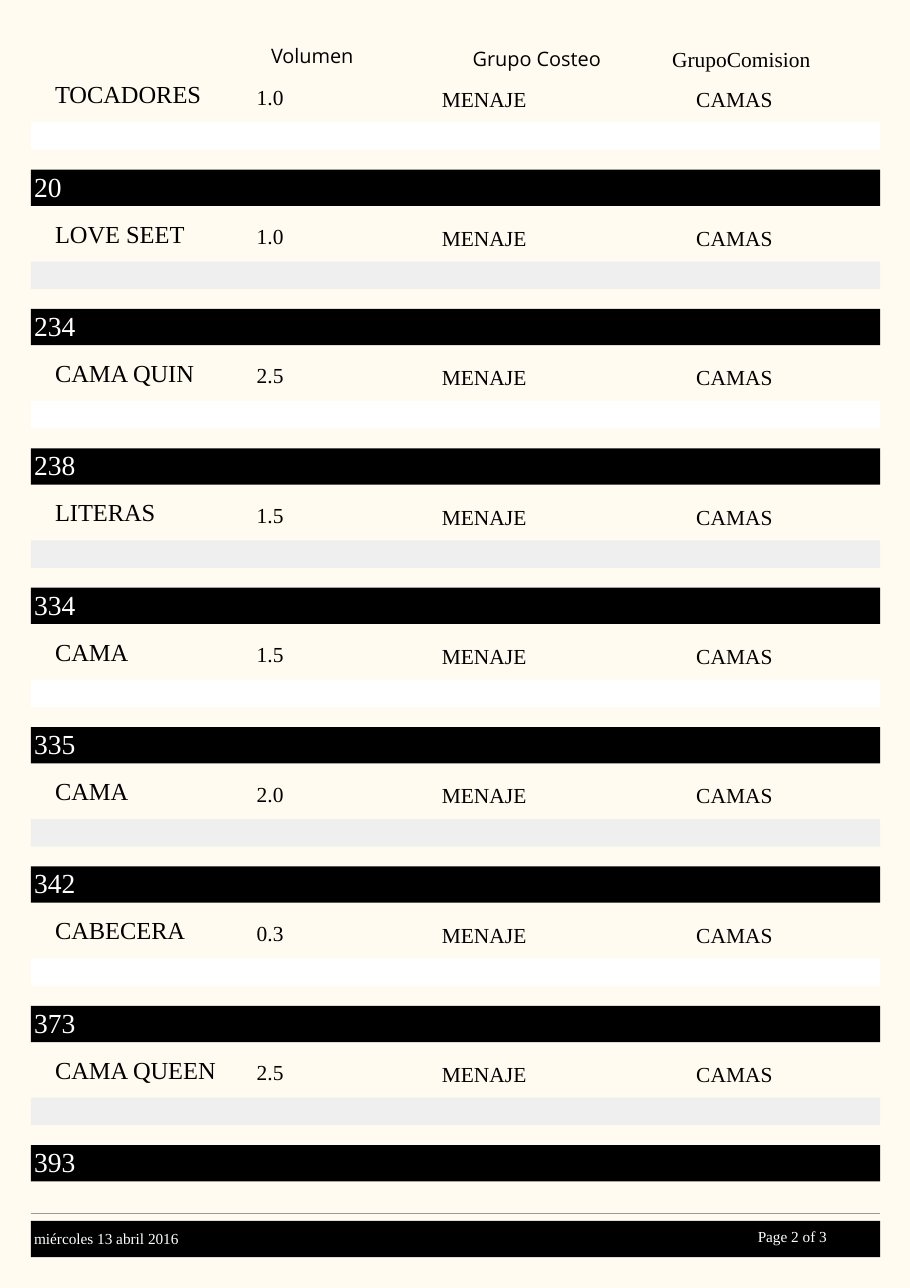
"""Build page 2 of a furniture stock report grouped by product code."""
from lxml import etree
from pptx import Presentation
from pptx.dml.color import RGBColor
from pptx.enum.shapes import MSO_CONNECTOR, MSO_SHAPE
from pptx.enum.text import MSO_ANCHOR, PP_ALIGN
from pptx.oxml.ns import qn
from pptx.util import Inches, Pt

RECTANGLE = MSO_SHAPE.RECTANGLE
STRAIGHT = MSO_CONNECTOR.STRAIGHT
TOP, MIDDLE = MSO_ANCHOR.TOP, MSO_ANCHOR.MIDDLE
LEFT, RIGHT = PP_ALIGN.LEFT, PP_ALIGN.RIGHT

PAGE_WIDTH, PAGE_HEIGHT = Inches(8.26), Inches(11.69)
BLACK, WHITE, GREY, CREAM, RULE = "000000", "FFFFFF", "F0EFEF", "FFFBF0", "999999"
SERIF, SANS = "Times New Roman", "Open Sans"


def color(value):
    return RGBColor.from_string(value)


def apply(target, settings):
    for attribute, value in settings.items():
        setattr(target, attribute, value)


class ReportPage:
    """Draws on one slide, with lengths in percent of its width and height."""

    frame_style = {"margin_left": 0, "margin_top": 0, "margin_right": 0,
                   "margin_bottom": 0, "word_wrap": True}

    def __init__(self, slide):
        self.slide = slide
        background = slide.background.fill
        background.solid()
        background.fore_color.rgb = color(CREAM)

    def place(self, left, top, width, height):
        return (round(PAGE_WIDTH * left / 100), round(PAGE_HEIGHT * top / 100),
                round(PAGE_WIDTH * width / 100), round(PAGE_HEIGHT * height / 100))

    def text(self, words, left, top, width, height, size,
             ink=BLACK, font=SERIF, anchor=TOP, align=LEFT):
        box = self.slide.shapes.add_textbox(*self.place(left, top, width, height))
        apply(box.text_frame, {**self.frame_style, "vertical_anchor": anchor})
        paragraph = box.text_frame.paragraphs[0]
        paragraph.alignment = align
        run = paragraph.add_run()
        run.text = words
        apply(run.font, {"name": font, "size": Pt(size)})
        run.font.color.rgb = color(ink)

    def band(self, top, height, fill):
        bar = self.slide.shapes.add_shape(
            RECTANGLE, *self.place(MARGIN, top, BAND_WIDTH, height))
        bar.shadow.inherit = False
        bar.fill.solid()
        bar.fill.fore_color.rgb = color(fill)
        bar.line.fill.background()

    def rule(self, top):
        left, y, width, _ = self.place(MARGIN, top, BAND_WIDTH, 0)
        line = self.slide.shapes.add_connector(STRAIGHT, left, y, left + width, y)
        line.line.color.rgb = color(RULE)
        line.line.width = Pt(0.5)
        etree.SubElement(line._element.spPr, qn("a:effectLst"))


MARGIN, BAND_WIDTH, BAND_HEIGHT = 3.39, 93.34, 2.82
BAND_TEXT_LEFT = 3.75
FIRST_GROUP, GROUP_PITCH = 2.35, 10.82
STRIPE_OFFSET, STRIPE_HEIGHT = 7.14, 2.14
FIELD_WIDTH = 18.64
FOOTER_TOP, FOOTER_TEXT_HEIGHT = 94.78, 2.4

HEADINGS = [
    ("GrupoComision", 73.85, 3.59, FIELD_WIDTH, 2.14, 14, BLACK, SERIF),
    ("Grupo Costeo", 51.94, 3.59, 16.83, 2.4, 13, BLACK, SANS),
    ("Volumen", 29.78, 3.42, 16.83, 2.4, 13, BLACK, SANS),
]
FIELDS = [(6.05, 3.8, 3.08, 16), (28.21, 4.16, 2.14, 14),
          (48.55, 4.3, 2.14, 14), (76.51, 4.3, 2.14, 14)]
GROUPS = [
    (None, "TOCADORES", "1.0"),
    ("20", "LOVE SEET", "1.0"),
    ("234", "CAMA QUIN", "2.5"),
    ("238", "LITERAS", "1.5"),
    ("334", "CAMA", "1.5"),
    ("335", "CAMA", "2.0"),
    ("342", "CABECERA", "0.3"),
    ("373", "CAMA QUEEN", "2.5"),
    ("393", None, None),
]
FOOTER = [
    (" 3", 89.59, FOOTER_TOP, 6.78, LEFT),
    ("Page 2 of", 76.15, FOOTER_TOP, 13.44, RIGHT),
    ("miércoles 13 abril 2016", BAND_TEXT_LEFT, 94.95, 33.17, LEFT),
]

report = Presentation()
apply(report, {"slide_width": PAGE_WIDTH, "slide_height": PAGE_HEIGHT})
page = ReportPage(report.slides.add_slide(report.slide_layouts[6]))

for heading in HEADINGS:
    page.text(*heading)

for index, (code, product, volume) in enumerate(GROUPS):
    group_top = FIRST_GROUP + index * GROUP_PITCH
    if code:
        page.band(group_top, BAND_HEIGHT, BLACK)
        page.text(code, BAND_TEXT_LEFT, group_top, 80.51, BAND_HEIGHT, 18, WHITE)
    if product:
        values = (product, volume, "MENAJE", "CAMAS")
        for value, (left, offset, height, size) in zip(values, FIELDS):
            page.text(value, left, group_top + offset, FIELD_WIDTH, height, size)
        page.band(group_top + STRIPE_OFFSET, STRIPE_HEIGHT, GREY if index % 2 else WHITE)

page.rule(94.18)
page.band(FOOTER_TOP, BAND_HEIGHT, BLACK)
for words, left, top, width, align in FOOTER:
    page.text(words, left, top, width, FOOTER_TEXT_HEIGHT, 10, WHITE,
              anchor=MIDDLE, align=align)

report.save("out.pptx")
